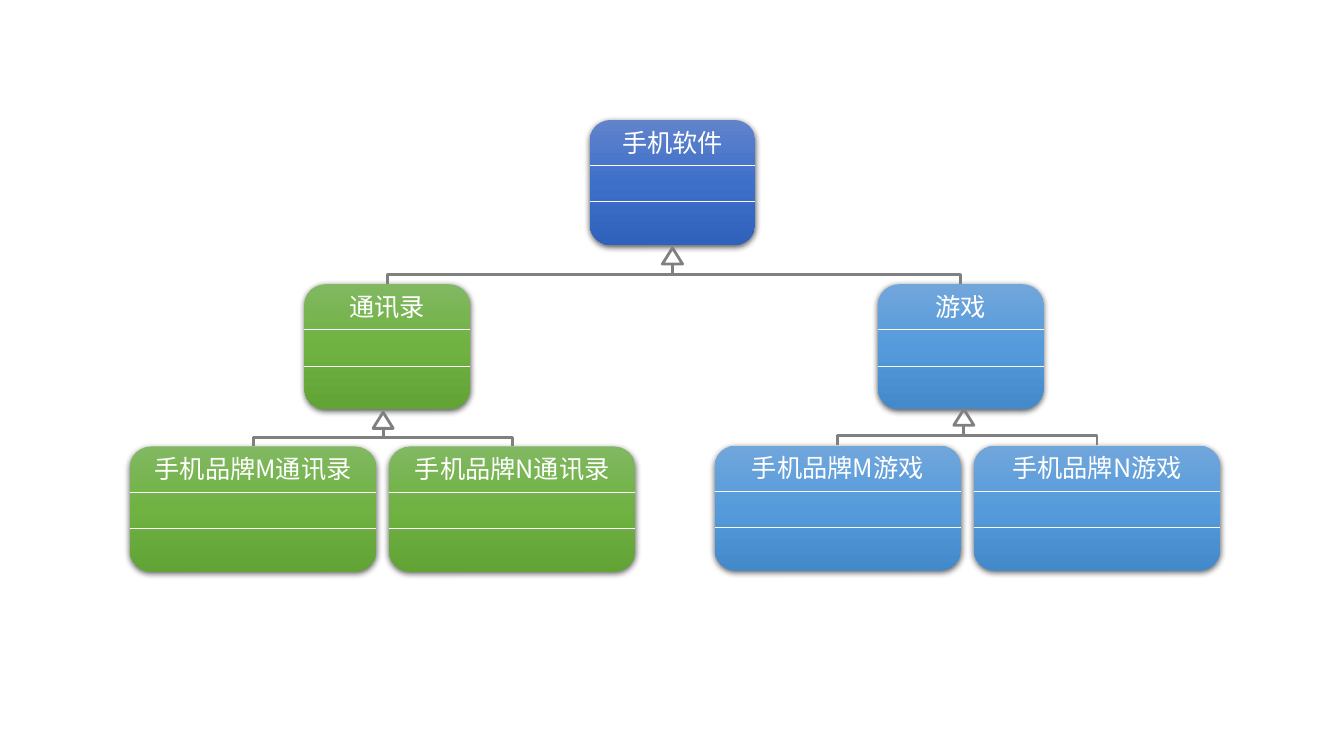
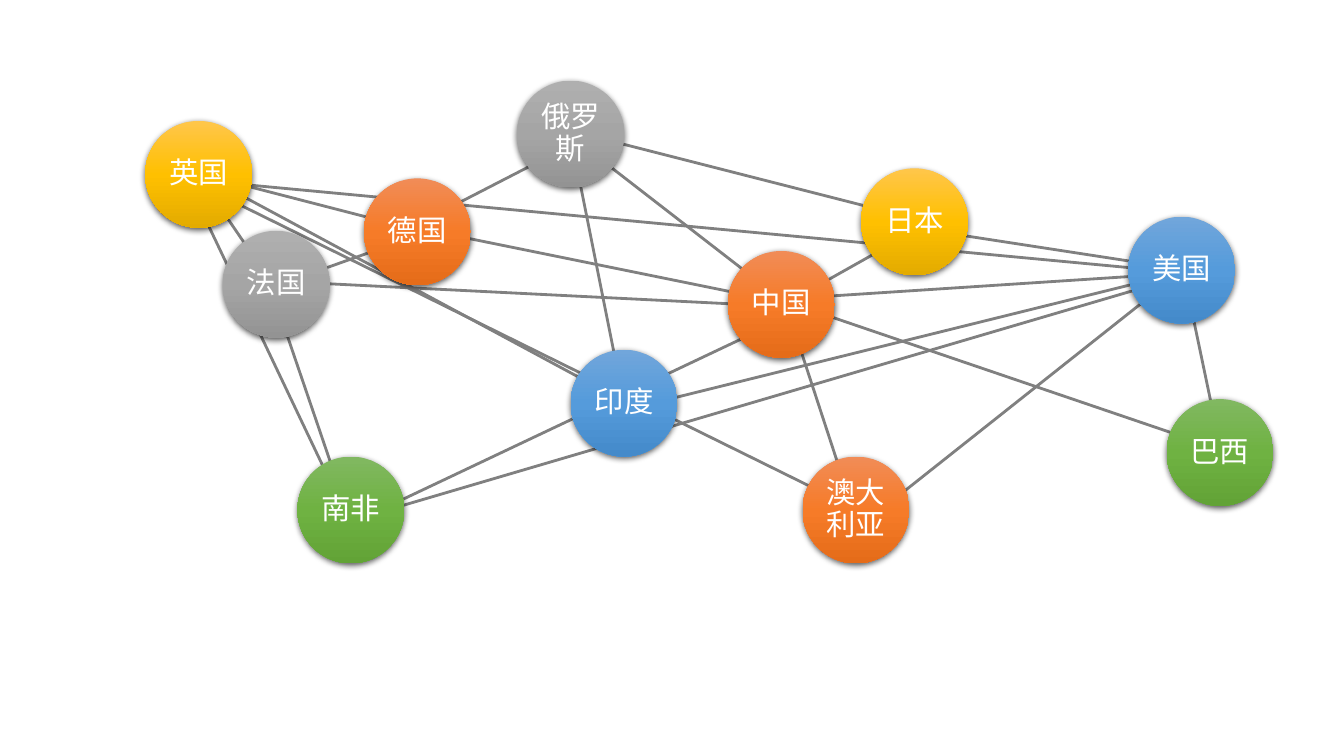
from copy import deepcopy

from pptx import Presentation
from pptx import util as u
from pptx.dml import color as dml
from pptx.enum import shapes as kinds
from pptx.enum import text as txt
from pptx.oxml import parse_xml
from pptx.oxml.ns import nsdecls, qn

FONT = "Noto Sans CJK SC"
WHITE, GRAY = "FFFFFF", "808080"
BLUE = ("6183CB", "3E70CA", "3062BB")
SKY = ("71A6DB", "559BDB", "448ACA")
GREEN = ("81B861", "6FB242", "62A336")
ORANGE = ("F18C57", "F67B28", "E56C19")
GOLD = ("FFC64B", "FFC000", "E3AB00")
STEEL = ("AFAFAF", "A5A5A5", "939393")


def rgb(code):
    return dml.RGBColor.from_string(code)


def inches(*nums):
    return [u.Inches(n) for n in nums]


class Deck:
    box_h = 1.24
    rows = (0.45, 0.81)
    ball_d = 1.06
    tip_w, tip_h = 0.2, 0.16

    def __init__(self):
        self.prs = Presentation()
        self.prs.slide_width, self.prs.slide_height = inches(13.33, 7.5)

    def page(self):
        self.slide = self.prs.slides.add_slide(self.prs.slide_layouts[6])
        self.items = self.slide.shapes

    def paint(self, shape, tones):
        fill = shape.fill
        fill.gradient()
        fill.gradient_angle = 270
        props = shape._element.spPr
        stops = props.find(".//" + qn("a:gsLst"))
        stops.append(deepcopy(stops[0]))
        for stop, place, tone in zip(fill.gradient_stops, (0, 0.5, 1), tones):
            stop.position = place
            stop.color.rgb = rgb(tone)
        shape.line.fill.background()
        shape.shadow.inherit = False
        props.find(qn("a:effectLst")).append(parse_xml(
            f'<a:outerShdw {nsdecls("a")} blurRad="57150" dist="19050" '
            'dir="5400000" algn="ctr" rotWithShape="0"><a:srgbClr val="000000">'
            '<a:alpha val="63000"/></a:srgbClr></a:outerShdw>'))

    def label(self, frame, words, size):
        frame.word_wrap = True
        para = frame.paragraphs[0]
        para.alignment = txt.PP_ALIGN.CENTER
        run = para.add_run()
        run.text = words
        run.font.size = u.Pt(size)
        run.font.name = FONT
        run.font.color.rgb = rgb(WHITE)
        run._r.get_or_add_rPr().append(
            parse_xml(f'<a:ea {nsdecls("a")} typeface="{FONT}"/>'))
        return para

    def ink(self, line, tone, width):
        line.color.rgb = rgb(tone)
        line.width = u.Pt(width)

    def link(self, ends, tone=GRAY, width=2, items=None, bent=False):
        kind = kinds.MSO_CONNECTOR.ELBOW if bent else kinds.MSO_CONNECTOR.STRAIGHT
        line = (items or self.items).add_connector(kind, *inches(*ends))
        self.ink(line.line, tone, width)
        line._element.spPr.append(parse_xml(f'<a:effectLst {nsdecls("a")}/>'))
        return line

    def box(self, x, y, width, words, tones):
        items = self.items.add_group_shape().shapes
        body = items.add_shape(kinds.MSO_SHAPE.ROUNDED_RECTANGLE,
                               *inches(x, y, width, self.box_h))
        self.paint(body, tones)
        for row in self.rows:
            self.link((x, y + row, x + width, y + row), WHITE, 0.5, items)
        name = items.add_textbox(*inches(x, y + 0.02, width, 0.4))
        name.text_frame.auto_size = txt.MSO_AUTO_SIZE.SHAPE_TO_FIT_TEXT
        self.label(name.text_frame, words, 18)
        return body

    def tip(self, mid, y):
        shape = self.items.add_shape(
            kinds.MSO_SHAPE.ISOSCELES_TRIANGLE,
            *inches(mid - self.tip_w / 2, y, self.tip_w, self.tip_h))
        shape.fill.background()
        shape.shadow.inherit = False
        self.ink(shape.line, GRAY, 2)
        return shape

    def elbow(self, child, tip):
        line = self.link((0, 0, 1, 1), bent=True)
        line.begin_connect(child, 0)
        line.end_connect(tip, 3)
        x, y = child.left + child.width // 2, child.top
        end_x, end_y = tip.left + tip.width // 2, tip.top + tip.height
        tall, wide = abs(y - end_y), abs(x - end_x)
        line.left = (x + end_x - tall) // 2
        line.top = (y + end_y - wide) // 2
        line.width, line.height = tall, wide
        left = x < end_x
        form = line._element.spPr.find(qn("a:xfrm"))
        form.set("rot", "5400000" if left else "16200000")
        form.set("flipH", "1" if left else "0")
        form.set("flipV", "1")

    def fork(self, kids, mid, y):
        tip = self.tip(mid, y)
        for kid in kids:
            self.elbow(kid, tip)

    def ball(self, x, y, words, tones):
        shape = self.items.add_shape(kinds.MSO_SHAPE.OVAL,
                                     *inches(x, y, self.ball_d, self.ball_d))
        self.paint(shape, tones)
        frame = shape.text_frame
        frame.vertical_anchor = txt.MSO_ANCHOR.MIDDLE
        frame.margin_left = frame.margin_right = u.Inches(0.01)
        frame.margin_top = frame.margin_bottom = u.Inches(0.01)
        para = self.label(frame, words, 21)
        para.line_spacing = 0.9
        para.space_after = u.Pt(7.35)


def tree(deck):
    deck.page()
    small, large, step = 1.64, 2.44, 2.57
    deck.box(5.85, 1.19, small, "手机软件", BLUE)
    tops = []
    for words, tones, x, left, y, mid, tip_y in (
            ("通讯录", GREEN, 3.02, 1.29, 4.43, 3.8, 4.09),
            ("游戏", SKY, 8.71, 7.09, 4.42, 9.56, 4.06)):
        tops.append(deck.box(x, 2.82, small, words, tones))
        kids = [deck.box(left + i * step, y, large, f"手机品牌{mark}{words}", tones)
                for i, mark in enumerate("MN")]
        deck.fork(kids, mid, tip_y)
    deck.fork(tops, 6.67, 2.46)


def web(deck):
    deck.page()
    for ends in (
            (7.73, 2.97, 11.72, 2.71), (5.71, 1.31, 9, 2.15),
            (7.8, 3.04, 8.51, 5.21), (1.85, 1.78, 3.51, 5.27),
            (6.22, 4, 2.08, 1.77), (2.78, 2.82, 4.1, 2.35),
            (2, 1.73, 4.05, 2.26), (1.98, 1.76, 2.75, 2.89),
            (5.66, 1.35, 7.7, 2.93), (5.66, 1.35, 6.19, 4),
            (7.78, 3.02, 9.13, 2.26), (9.12, 2.27, 11.72, 2.67),
            (11.75, 2.75, 12.1, 4.42), (2.73, 2.98, 3.47, 5.15),
            (4.07, 2.26, 5.7, 1.42), (8.62, 5.15, 11.71, 2.7),
            (4.08, 2.25, 7.77, 3), (2.75, 2.79, 7.76, 3.04),
            (1.98, 1.79, 11.57, 2.69), (6.19, 4.07, 11.72, 2.7),
            (3.5, 5.16, 11.76, 2.73), (3.56, 5.16, 7.76, 3.17),
            (7.85, 3.01, 12.08, 4.45), (8.53, 5.07, 1.99, 1.84)):
        deck.link(ends)
    for ball in (
            (5.13, 0.8, "俄罗斯", STEEL), (8.54, 1.67, "日本", GOLD),
            (3.61, 1.77, "德国", ORANGE), (11.19, 2.15, "美国", SKY),
            (7.22, 2.49, "中国", ORANGE), (11.57, 3.96, "巴西", GREEN),
            (2.95, 4.53, "南非", GREEN), (7.96, 4.53, "澳大利亚", ORANGE),
            (1.44, 1.2, "英国", GOLD), (2.21, 2.29, "法国", STEEL),
            (5.66, 3.47, "印度", SKY)):
        deck.ball(*ball)


def main():
    deck = Deck()
    tree(deck)
    web(deck)
    deck.prs.save("out.pptx")


if __name__ == "__main__":
    main()
